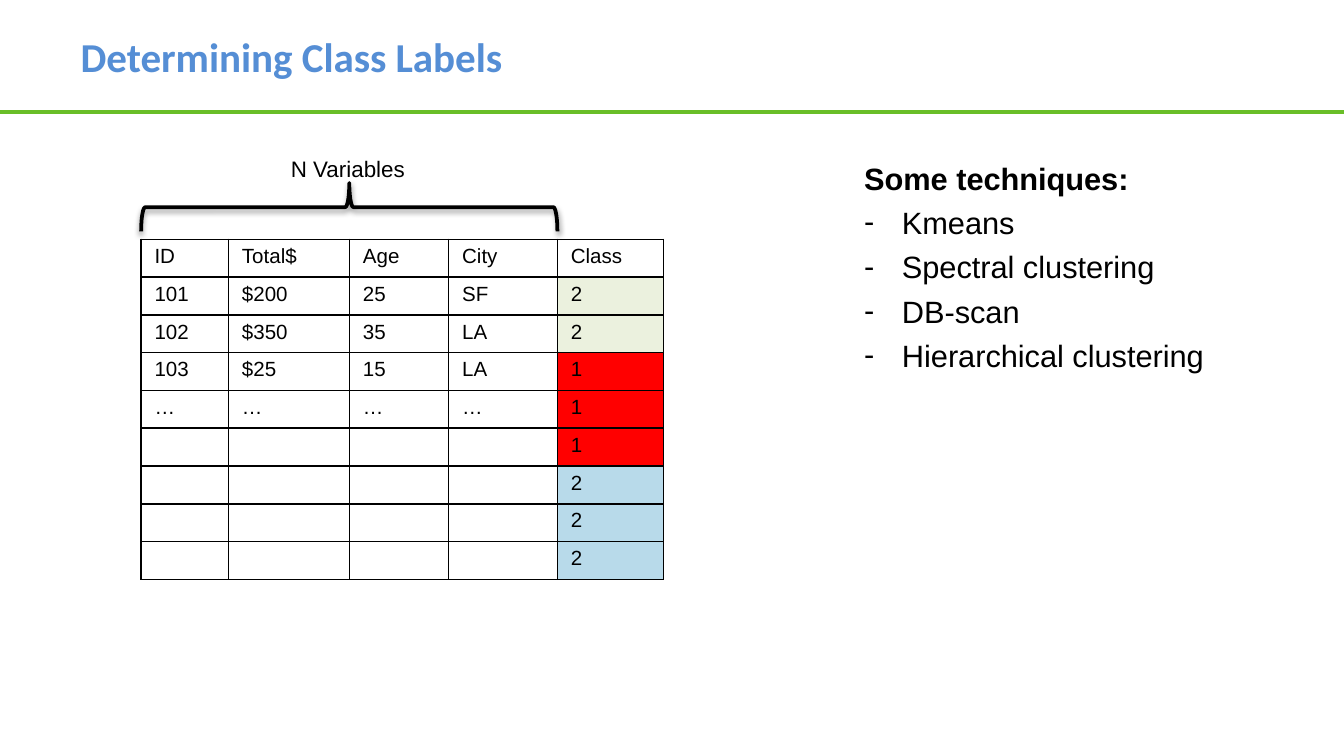
from lxml.etree import SubElement
from pptx import Presentation
from pptx.dml.color import RGBColor
from pptx.enum.shapes import MSO_CONNECTOR, MSO_SHAPE
from pptx.enum.text import MSO_ANCHOR, MSO_AUTO_SIZE, PP_ALIGN
from pptx.oxml import parse_xml
from pptx.oxml.ns import nsdecls, qn
from pptx.util import Pt

COLORS = {
    "title": "558ED5",
    "rule": "69BE28",
    "ink": "000000",
    "paper": "FFFFFF",
    "green": "EBF1DE",
    "red": "FF0000",
    "blue": "B8DAEA",
}
SLIDE_WIDTH, SLIDE_HEIGHT = 720, 405
COLUMN_WIDTHS = [46.8, 64.8, 53.2, 58.2, 57]
ROW_HEIGHT = 20.25
HEADINGS = ["ID", "Total$", "Age", "City", "Class"]
RECORDS = [
    ["101", "$200", "25", "SF"],
    ["102", "$350", "35", "LA"],
    ["103", "$25", "15", "LA"],
    ["…"] * 4,
] + [[""] * 4] * 4
CLASSES = [("2", "green")] * 2 + [("1", "red")] * 3 + [("2", "blue")] * 3
TECHNIQUES = ["Kmeans", "Spectral clustering", "DB-scan", "Hierarchical clustering"]


def color(name):
    return RGBColor.from_string(COLORS[name])


def set_font(paragraph, size, name="Arial", ink="ink", bold=False):
    font = paragraph.font
    font.name, font.size, font.bold = name, Pt(size), bold
    font.color.rgb = color(ink)


def set_frame(frame, anchor, wrap, side, top):
    frame.word_wrap = wrap
    frame.auto_size = MSO_AUTO_SIZE.NONE
    frame.vertical_anchor = anchor
    frame.margin_left = frame.margin_right = Pt(side)
    frame.margin_top = frame.margin_bottom = Pt(top)


def place(shape, left, top, width, height):
    shape.left, shape.top = Pt(left), Pt(top)
    shape.width, shape.height = Pt(width), Pt(height)


def add_header(slide, left, top, width, height):
    """Title with the green rule along the bottom edge of its box."""
    title = slide.shapes.title
    place(title, left + 36, top, width - 72, height)
    set_frame(title.text_frame, MSO_ANCHOR.MIDDLE, True, 7.2, 3.6)
    heading = title.text_frame.paragraphs[0]
    heading.text = "Determining Class Labels"
    heading.alignment = PP_ALIGN.LEFT
    set_font(heading, 22, "Calibri", "title", True)

    bottom = Pt(top + height)
    rule = slide.shapes.add_connector(
        MSO_CONNECTOR.STRAIGHT, Pt(left), bottom, Pt(left + width), bottom)
    rule.line.color.rgb = color("rule")
    rule.line.width = Pt(2)
    SubElement(rule._element.spPr, qn("a:effectLst"))


def format_cell(cell, text, fill):
    cell.fill.solid()
    cell.fill.fore_color.rgb = color(fill)
    cell.margin_left = cell.margin_right = Pt(7.2)
    cell.margin_top = cell.margin_bottom = Pt(3)
    entry = cell.text_frame.paragraphs[0]
    entry.text = text
    set_font(entry, 11)
    if not text:
        SubElement(entry._p, qn("a:endParaRPr")).set("sz", "1100")
    properties = cell._tc.get_or_add_tcPr()
    for position, side in enumerate(("lnL", "lnR", "lnT", "lnB")):
        properties.insert(position, parse_xml(
            f'<a:{side} {nsdecls("a")} w="12700"><a:solidFill>'
            f'<a:srgbClr val="{COLORS["ink"]}"/></a:solidFill></a:{side}>'))


def add_records(slide, left, top):
    rows = [[(heading, "paper") for heading in HEADINGS]]
    for record, label in zip(RECORDS, CLASSES):
        rows.append([(value, "paper") for value in record] + [label])
    table = slide.shapes.add_table(
        len(rows), len(HEADINGS), Pt(left), Pt(top),
        Pt(sum(COLUMN_WIDTHS)), Pt(ROW_HEIGHT * len(rows))).table
    table.first_row = table.horz_banding = False
    for column, width in zip(table.columns, COLUMN_WIDTHS):
        column.width = Pt(width)
    for row, entries in zip(table.rows, rows):
        row.height = Pt(ROW_HEIGHT)
        for cell, (text, fill) in zip(row.cells, entries):
            format_cell(cell, text, fill)


def add_variables_brace(slide, left, top, width, height):
    """Brace opening downwards over the box, with its label above."""
    middle = left + width / 2
    brace = slide.shapes.add_shape(
        MSO_SHAPE.LEFT_BRACE, Pt(middle - height / 2),
        Pt(top + height / 2 - width / 2), Pt(height), Pt(width))
    brace.rotation = 90
    brace.fill.background()
    brace.line.color.rgb = color("ink")
    brace.line.width = Pt(2)
    brace.shadow.inherit = False
    effects = brace._element.spPr.find(qn("a:effectLst"))
    effects.append(parse_xml(
        f'<a:outerShdw {nsdecls("a")} blurRad="{Pt(3.1)}" dist="{Pt(1.6)}" '
        f'dir="5400000" rotWithShape="0"><a:srgbClr val="{COLORS["ink"]}">'
        '<a:alpha val="38000"/></a:srgbClr></a:outerShdw>'))

    label = slide.shapes.add_textbox(
        Pt(middle - 46.8), Pt(top - 18), Pt(92.2), Pt(27.4))
    set_frame(label.text_frame, MSO_ANCHOR.TOP, False, 5, 2.9)
    caption = label.text_frame.paragraphs[0]
    caption.text = "N Variables"
    caption.alignment = PP_ALIGN.CENTER
    set_font(caption, 12)


def add_techniques(slide, left, top, width, height):
    body = slide.placeholders[1]
    place(body, left, top, width, height)
    frame = body.text_frame
    set_frame(frame, MSO_ANCHOR.TOP, True, 5, 2.9)
    for index, text in enumerate(["Some techniques:"] + TECHNIQUES):
        line = frame.add_paragraph() if index else frame.paragraphs[0]
        line.text = text
        line.space_before = Pt(4 if index else 0)
        properties = line._p.get_or_add_pPr()
        indent = Pt(20.2) if index else 0
        properties.set("marL", str(indent))
        properties.set("indent", str(-indent))
        if index:
            SubElement(properties, qn("a:buFont")).set("typeface", "Arial")
            SubElement(properties, qn("a:buChar")).set("char", "-")
        else:
            SubElement(properties, qn("a:buNone"))
        set_font(line, 16.5, bold=not index)


def main():
    presentation = Presentation()
    presentation.slide_width = Pt(SLIDE_WIDTH)
    presentation.slide_height = Pt(SLIDE_HEIGHT)
    slide = presentation.slides.add_slide(presentation.slide_layouts[1])
    add_header(slide, 0, 0, SLIDE_WIDTH, 60)
    add_records(slide, 75.6, 128.2)
    add_variables_brace(slide, 75.6, 98, sum(COLUMN_WIDTHS[:-1]), 26)
    add_techniques(slide, 458, 82.5, 245.5, 142.5)
    presentation.save("out.pptx")


if __name__ == "__main__":
    main()
